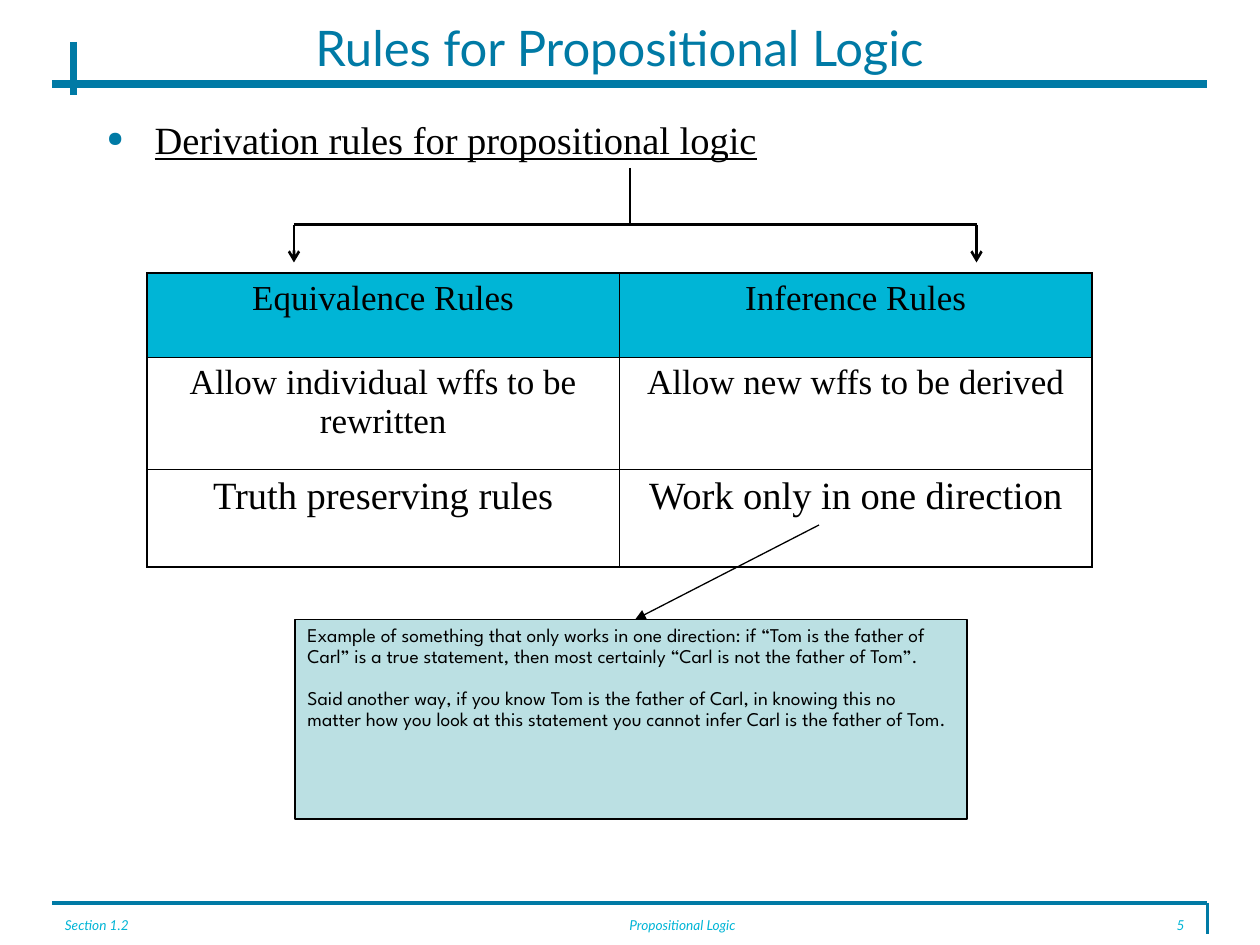
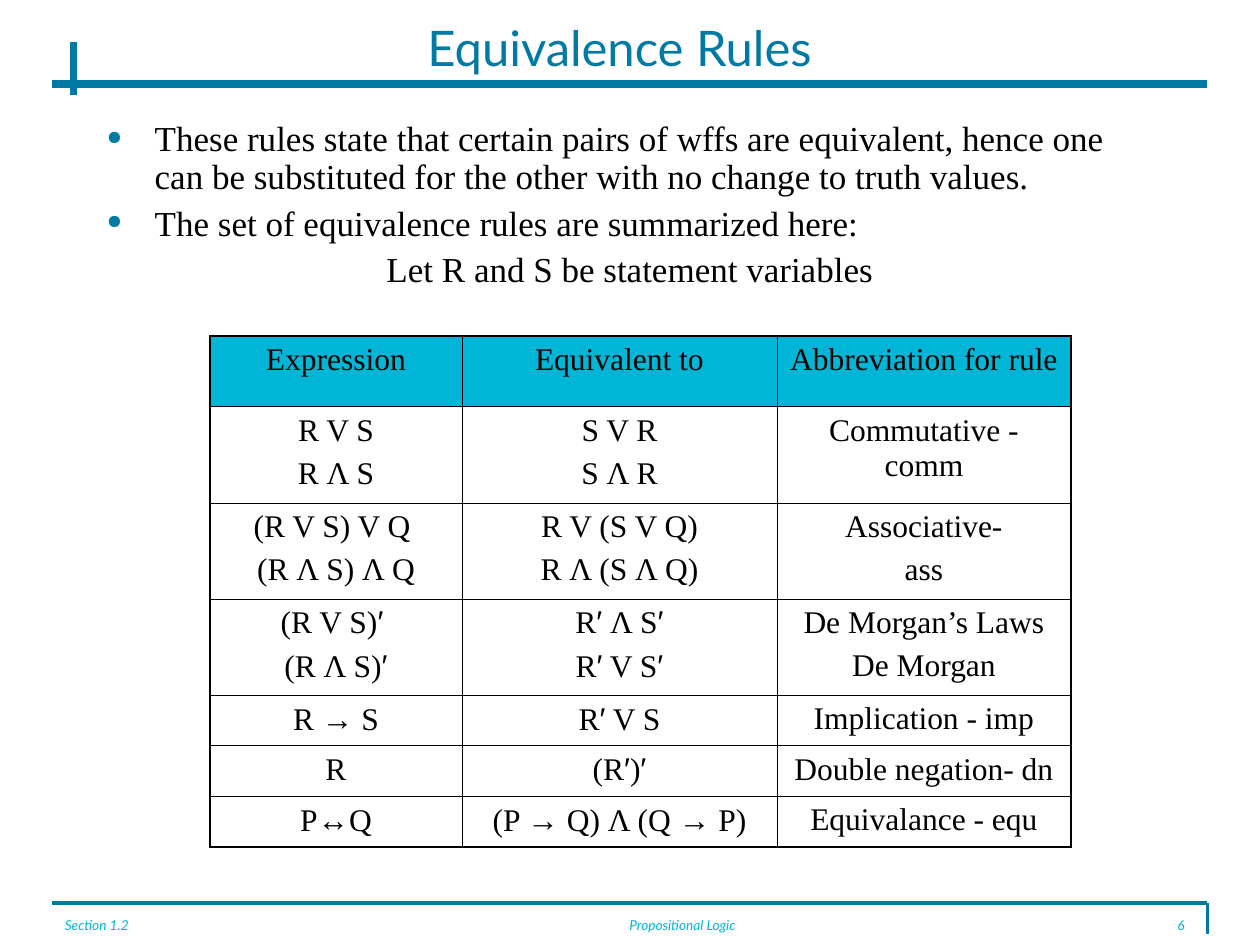
from dataclasses import dataclass
from itertools import groupby

from lxml.etree import SubElement
from pptx import Presentation
from pptx.dml.color import RGBColor
from pptx.enum.shapes import MSO_CONNECTOR, MSO_SHAPE
from pptx.enum.text import MSO_ANCHOR as Anchor, PP_ALIGN as Align
from pptx.oxml.ns import qn
from pptx.util import Inches, Pt


@dataclass(frozen=True)
class Theme:
    blue: str = "007AA5"
    cyan: str = "00B5D6"
    pale: str = "BBE0E3"
    black: str = "000000"
    display: str = "Lato"
    body: str = "Times New Roman"
    symbol: str = "Arial"
    note: str = "League Spartan"
    title_size: float = 28
    large: float = 22
    medium: float = 20
    small: float = 18
    note_size: float = 11.1
    footer_size: float = 7.8
    outer_edge: float = 1.08
    inner_edge: float = 0.45


THEME = Theme()
SYMBOLS = "′→↔"


def grid(*cells):
    """Lengths on a grid of 120 columns by 90 rows, twelve to the inch."""
    return [Inches(cell / 12) for cell in cells]


def rgb(value):
    return RGBColor.from_string(value)


def add_bullet(paragraph):
    props = paragraph._p.get_or_add_pPr()
    props.set("marL", str(Inches(0.38)))
    props.set("indent", str(-Inches(0.38)))
    SubElement(SubElement(props, qn("a:buClr")), qn("a:srgbClr"), val=THEME.blue)
    SubElement(props, qn("a:buSzPct"), val="55000")
    SubElement(props, qn("a:buChar"), char="●")


def write(frame, lines, *, size, font=THEME.body, color=THEME.black,
          align=Align.LEFT, spacing=1.0, gap=0, anchor=Anchor.TOP,
          bullets=0, italic=False, underline=False):
    """Fill a frame with lines; the first `bullets` of them get a bullet."""
    frame.word_wrap = True
    frame.vertical_anchor = anchor
    for index, line in enumerate(lines):
        paragraph = frame.add_paragraph() if index else frame.paragraphs[0]
        bulleted = index < bullets
        if bulleted:
            add_bullet(paragraph)
        paragraph.alignment = Align.CENTER if bullets and not bulleted else align
        paragraph.line_spacing = spacing
        if index:
            paragraph.space_before = Pt(gap)
        for is_symbol, letters in groupby(line, lambda letter: letter in SYMBOLS):
            run = paragraph.add_run()
            run.text = "".join(letters)
            run.font.name = THEME.symbol if is_symbol else font
            run.font.size = Pt(size)
            run.font.color.rgb = rgb(color)
            run.font.italic = italic
            run.font.underline = underline


def add_text(slide, area, lines, margin=True, **style):
    frame = slide.shapes.add_textbox(*grid(*area)).text_frame
    if not margin:
        frame.margin_left = frame.margin_right = 0
        frame.margin_top = frame.margin_bottom = 0
    write(frame, lines, **style)


def add_line(slide, start, end, color=THEME.black, width=1.5, head=None):
    line = slide.shapes.add_connector(
        MSO_CONNECTOR.STRAIGHT, *grid(*start), *grid(*end))
    line.line.color.rgb = rgb(color)
    line.line.width = Pt(width)
    if head:
        SubElement(line.line._get_or_add_ln(), qn("a:tailEnd"), type=head)
    SubElement(line._element.spPr, qn("a:effectLst"))


def set_borders(cell, outer_sides):
    props = cell._tc.get_or_add_tcPr()
    for position, (side, is_outer) in enumerate(outer_sides.items()):
        width = Pt(THEME.outer_edge if is_outer else THEME.inner_edge)
        edge = props.makeelement(qn(f"a:{side}"), {"w": str(width)})
        fill = SubElement(edge, qn("a:solidFill"))
        SubElement(fill, qn("a:srgbClr"), val=THEME.black)
        props.insert(position, edge)


def add_rules_table(slide, corner, columns, heights, rows, sizes):
    """Table with a cyan header, thin inner lines and a heavier frame."""
    table = slide.shapes.add_table(
        len(heights), len(columns),
        *grid(*corner, sum(columns), sum(heights))).table
    table.horz_banding = False
    for column, width in zip(table.columns, grid(*columns)):
        column.width = width
    for row, height in zip(table.rows, grid(*heights)):
        row.height = height
    for r, (texts, size) in enumerate(zip(rows, sizes)):
        for c, text in enumerate(texts):
            cell = table.cell(r, c)
            if r == 0:
                cell.fill.solid()
                cell.fill.fore_color.rgb = rgb(THEME.cyan)
            else:
                cell.fill.background()
            set_borders(cell, {"lnL": c == 0, "lnR": c == len(columns) - 1,
                               "lnT": r == 0, "lnB": r == len(heights) - 1})
            write(cell.text_frame, text.split("\n"), size=size,
                  align=Align.CENTER, gap=size / 4)


def add_note(slide, area, lines):
    note = slide.shapes.add_shape(MSO_SHAPE.RECTANGLE, *grid(*area))
    note.shadow.inherit = False
    note.fill.solid()
    note.fill.fore_color.rgb = rgb(THEME.pale)
    note.line.color.rgb = rgb(THEME.black)
    note.line.width = Pt(0.75)
    write(note.text_frame, lines, size=THEME.note_size, font=THEME.note,
          spacing=0.9, gap=12)


def add_base_slide(deck, title, number):
    """Blank slide with the shared rules, footer and title."""
    slide = deck.slides.add_slide(deck.slide_layouts[6])
    for start, end, width in [((5, 86), (115, 86), 2.25),
                              ((115, 86), (115, 89), 2.25),
                              ((5, 8), (115, 8), 4.5),
                              ((7, 4), (7, 9), 4.5)]:
        add_line(slide, start, end, THEME.blue, width)
    for left, width, text, align in [(5, 21, "Section 1.2", Align.LEFT),
                                     (40, 50, "Propositional Logic", Align.CENTER),
                                     (105, 9, str(number), Align.RIGHT)]:
        add_text(slide, (left, 87, width, 3), [text], size=THEME.footer_size,
                 font=THEME.display, color=THEME.cyan, align=align,
                 spacing=0.8, italic=True)
    add_text(slide, (8, 2, 102, 5), [title], margin=False,
             size=THEME.title_size, font=THEME.display, color=THEME.blue,
             align=Align.CENTER, anchor=Anchor.MIDDLE)
    return slide


def add_body(slide, lines, **style):
    add_text(slide, (9, 11, 102, 72), lines, spacing=0.9, **style)


def build_derivation_slide(deck):
    slide = add_base_slide(deck, "Rules for Propositional Logic", 5)
    add_body(slide, ["Derivation rules for propositional logic"],
             size=THEME.large, bullets=1, underline=True)

    # Branch from the heading to the two kinds of rule
    left, middle, right, fork = 28, 60, 93, 21.4
    add_line(slide, (middle, 16), (middle, fork))
    add_line(slide, (left, fork), (right, fork))
    for branch in (left, right):
        add_line(slide, (branch, fork), (branch, 25), head="arrow")

    add_rules_table(
        slide, (14, 26), [45, 45], [8, 10.67, 9.33],
        [("Equivalence Rules", "Inference Rules"),
         ("Allow individual wffs to be rewritten", "Allow new wffs to be derived"),
         ("Truth preserving rules", "Work only in one direction")],
        [THEME.medium, THEME.medium, THEME.large])

    # Example of a one-way rule
    add_note(slide, (28.1, 59, 64, 19), [
        "Example of something that only works in one direction: if “Tom is the "
        "father of Carl” is a true statement, then most certainly “Carl is not "
        "the father of Tom”.",
        "Said another way, if you know Tom is the father of Carl, in knowing "
        "this no matter how you look at this statement you cannot infer Carl "
        "is the father of Tom."])
    add_line(slide, (78, 50), (60.5, 59), width=0.75, head="triangle")


def build_equivalence_slide(deck):
    slide = add_base_slide(deck, "Equivalence Rules", 6)
    add_body(slide, [
        "These rules state that certain pairs of wffs are equivalent, hence one "
        "can be substituted for the other with no change to truth values.",
        "The set of equivalence rules are summarized here:",
        "Let R and S be statement variables"],
        size=THEME.medium, gap=5, bullets=2)

    rules = [
        ("Expression", "Equivalent to", "Abbreviation for rule"),
        ("R V S\nR Λ S", "S V R\nS Λ R", "Commutative - comm"),
        ("(R V S) V Q \n(R Λ S) Λ Q", "R V (S V Q)\nR Λ (S Λ Q)",
         "Associative-\nass"),
        ("(R V S)′ \n(R Λ S)′", "R′ Λ S′\nR′ V S′",
         "De Morgan’s Laws\nDe Morgan"),
        ("R → S", "R′ V S", "Implication - imp"),
        ("R", "(R′)′", "Double negation- dn"),
        ("P↔Q", "(P → Q) Λ (Q → P)", "Equivalance - equ"),
    ]
    add_rules_table(slide, (20, 32), [24, 30, 28],
                    [6.75] + [9.14] * 3 + [4.82] * 3,
                    rules, [THEME.small] * len(rules))


def main():
    deck = Presentation()
    deck.slide_width, deck.slide_height = grid(120, 90)
    build_derivation_slide(deck)
    build_equivalence_slide(deck)
    deck.save("out.pptx")


if __name__ == "__main__":
    main()
